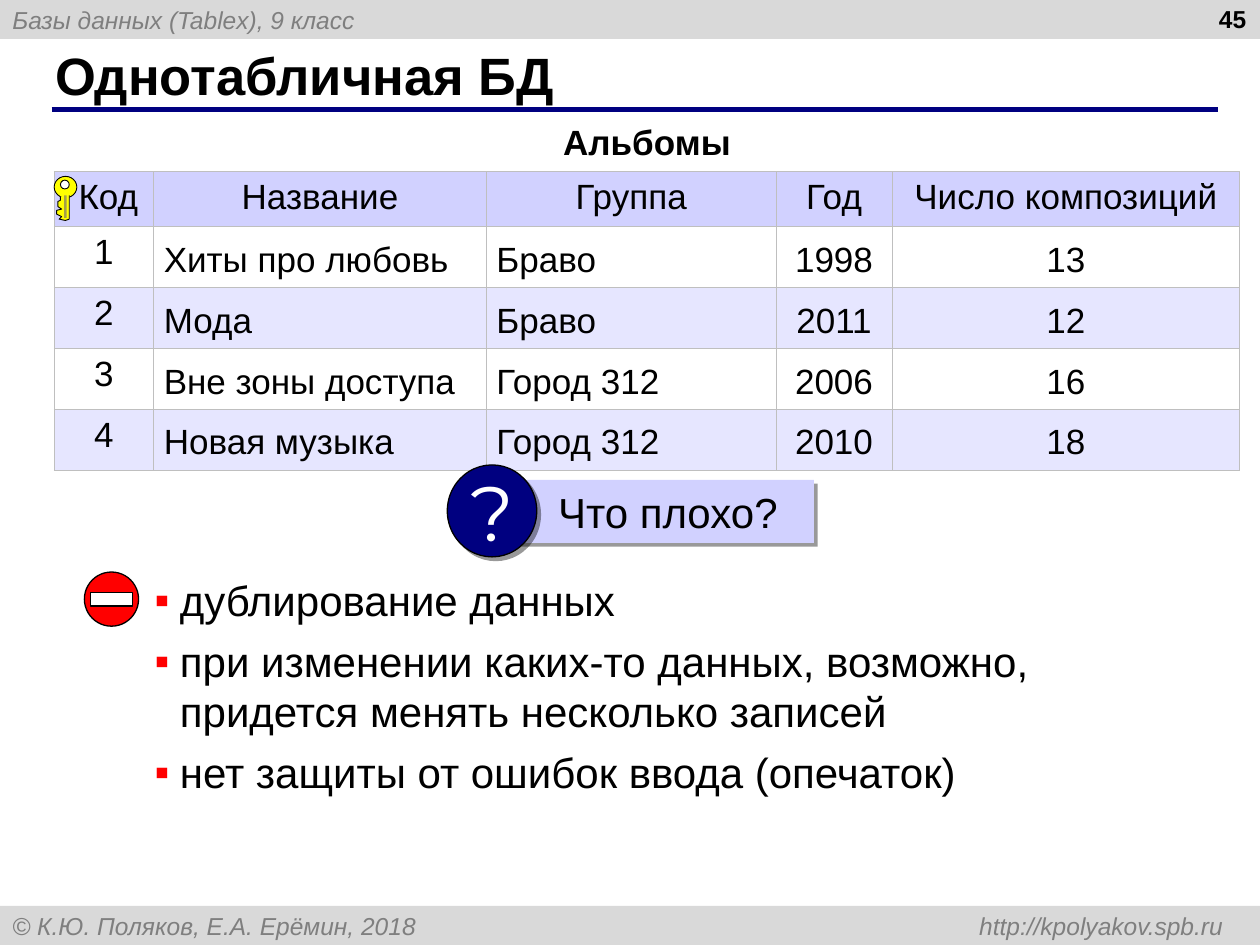
"""Builds the slide about the drawbacks of a single-table database."""
from typing import NamedTuple, Optional

from lxml.etree import SubElement
from pptx import Presentation
from pptx.dml.color import RGBColor
from pptx.enum.shapes import MSO_CONNECTOR, MSO_SHAPE
from pptx.enum.text import MSO_ANCHOR, PP_ALIGN
from pptx.oxml import parse_xml
from pptx.oxml.ns import nsdecls, qn
from pptx.util import Inches, Pt

BLACK = RGBColor(0x00, 0x00, 0x00)
WHITE = RGBColor(0xFF, 0xFF, 0xFF)
GRAY = RGBColor(0x7F, 0x7F, 0x7F)
BAR_GRAY = RGBColor(0xD9, 0xD9, 0xD9)
BORDER_GRAY = RGBColor(0xBF, 0xBF, 0xBF)
NAVY = RGBColor(0x00, 0x00, 0x80)
LAVENDER = RGBColor(0xD1, 0xD1, 0xFF)
PALE_LAVENDER = RGBColor(0xE6, 0xE6, 0xFF)
RED = RGBColor(0xFF, 0x00, 0x00)
YELLOW = RGBColor(0xFF, 0xFF, 0x00)
OLIVE = RGBColor(0xA5, 0xA1, 0x49)

BAR_TEXT = {"name": "Arial", "size": Pt(14), "italic": True}
NUMBER_TEXT = {"name": "Arial", "size": Pt(14), "bold": True}
TITLE_TEXT = {"name": "Arial", "size": Pt(30), "bold": True}
CELL_TEXT = {"name": "Arial", "size": Pt(20)}
CAPTION_TEXT = {**CELL_TEXT, "bold": True}
BODY_TEXT = {"name": "Arial", "size": Pt(24)}
MARK_TEXT = {"name": "Montserrat", "size": Pt(44)}

COLUMN_WIDTHS = (0.79, 2.64, 2.3, 0.92, 2.76)
ROW_HEIGHT = 0.43
ALBUM_ROWS = (
    ("Альбомы", "", "", "", ""),
    ("Код", "Название", "Группа", "Год", "Число композиций"),
    ("1", "Хиты про любовь", "Браво", "1998", "13"),
    ("2", "Мода", "Браво", "2011", "12"),
    ("3", "Вне зоны доступа", "Город 312", "2006", "16"),
    ("4", "Новая музыка", "Город 312", "2010", "18"),
)
DRAWBACKS = (
    "дублирование данных",
    "при изменении каких-то данных, возможно, придется менять несколько записей",
    "нет защиты от ошибок ввода (опечаток)",
)
KEY_BLADE = ((0.55, 1.55), (0.55, 1.74), (0.52, 1.75), (0.47, 1.74), (0.49, 1.72), (0.45, 1.7),
             (0.45, 1.67), (0.49, 1.66), (0.46, 1.64), (0.46, 1.6), (0.48, 1.59), (0.48, 1.56))


class Figure(NamedTuple):
    """A preset shape with its place in inches and its look."""
    kind: MSO_SHAPE
    place: tuple
    fill: RGBColor
    line_width: Optional[float] = None
    shadow: bool = False


HEADER_BAR = Figure(MSO_SHAPE.RECTANGLE, (0, 0, 10, 0.31), BAR_GRAY)
FOOTER_BAR = Figure(MSO_SHAPE.RECTANGLE, (0, 7.19, 10, 0.31), BAR_GRAY)
STOP_SIGN = (
    Figure(MSO_SHAPE.OVAL, (0.67, 4.54, 0.43, 0.43), RED, 0.75),
    Figure(MSO_SHAPE.RECTANGLE, (0.72, 4.7, 0.33, 0.11), WHITE, 0.75),
)
KEY_HEAD = (
    Figure(MSO_SHAPE.OVAL, (0.43, 1.4, 0.18, 0.17), YELLOW, 0.5),
    Figure(MSO_SHAPE.OVAL, (0.48, 1.43, 0.07, 0.07), WHITE, 0.5),
)
KEY_GROOVE = Figure(MSO_SHAPE.RECTANGLE, (0.51, 1.55, 0.02, 0.18), OLIVE)
QUESTION_BOX = Figure(MSO_SHAPE.RECTANGLE, (4.06, 3.81, 2.4, 0.5), LAVENDER, shadow=True)
QUESTION_MARK = Figure(MSO_SHAPE.OVAL, (3.55, 3.69, 0.71, 0.73), NAVY, 0.75, True)


def inches(place: tuple) -> list:
    """Turn numbers into lengths."""
    return [Inches(value) for value in place]


def write(para, text: str, style: dict, color: RGBColor = BLACK, align=PP_ALIGN.LEFT) -> None:
    """Put one formatted span into a paragraph."""
    para.alignment = align
    span = para.add_run()
    span.text = text
    for name, value in style.items():
        setattr(span.font, name, value)
    span.font.color.rgb = color


def paint(shape, fill: RGBColor, line_width: Optional[float]) -> None:
    """Set the fill and outline of a shape and drop its theme shadow."""
    shape.shadow.inherit = False
    shape.fill.solid()
    shape.fill.fore_color.rgb = fill
    if line_width is None:
        shape.line.fill.background()
    else:
        shape.line.color.rgb = BLACK
        shape.line.width = Pt(line_width)


def draw_figure(page, figure: Figure):
    """Draw a preset shape."""
    shape = page.shapes.add_shape(figure.kind, *inches(figure.place))
    paint(shape, figure.fill, figure.line_width)
    if figure.shadow:
        effects = shape._element.spPr.find(qn("a:effectLst"))
        effects.append(parse_xml(
            f'<a:outerShdw {nsdecls("a")} dist="38100" dir="2700000" algn="tl">'
            '<a:srgbClr val="000000"><a:alpha val="40000"/></a:srgbClr></a:outerShdw>'))
    return shape


def draw_bar(page, figure: Figure, text: str) -> None:
    """Draw a gray bar whose text may continue at a right tab."""
    frame = draw_figure(page, figure).text_frame
    frame.vertical_anchor = MSO_ANCHOR.MIDDLE
    para = frame.paragraphs[0]
    if "\t" in text:
        tabs = SubElement(para._p.get_or_add_pPr(), qn("a:tabLst"))
        SubElement(tabs, qn("a:tab"), pos=str(Inches(9.61)), algn="r")
    write(para, text, BAR_TEXT, GRAY)


def add_frame(page, place: tuple):
    """Add a wrapping text box and return its text frame."""
    frame = page.shapes.add_textbox(*inches(place)).text_frame
    frame.word_wrap = True
    return frame


def set_borders(cell, sides: str) -> None:
    """Give a cell thin gray borders on the named sides."""
    properties = cell._tc.get_or_add_tcPr()
    for index, side in enumerate(sides):
        properties.insert(index, parse_xml(
            f'<a:ln{side} {nsdecls("a")} w="{Pt(0.45)}"><a:solidFill>'
            f'<a:srgbClr val="{BORDER_GRAY}"/></a:solidFill></a:ln{side}>'))


def draw_album_table(page) -> None:
    """Draw the table of albums under its merged caption."""
    place = (0.43, 0.93, sum(COLUMN_WIDTHS), ROW_HEIGHT * len(ALBUM_ROWS))
    table = page.shapes.add_table(len(ALBUM_ROWS), len(COLUMN_WIDTHS), *inches(place)).table
    table.first_row = table.horz_banding = False
    for column, width in zip(table.columns, COLUMN_WIDTHS):
        column.width = Inches(width)
    table.cell(0, 0).merge(table.cell(0, len(COLUMN_WIDTHS) - 1))
    row_fills = {1: LAVENDER, 3: PALE_LAVENDER, 5: PALE_LAVENDER}
    for row, texts in enumerate(ALBUM_ROWS):
        for column, text in enumerate(texts):
            cell = table.cell(row, column)
            if row in row_fills:
                cell.fill.solid()
                cell.fill.fore_color.rgb = row_fills[row]
            else:
                cell.fill.background()
            set_borders(cell, "LRTB" if row else "B")
            para = cell.text_frame.paragraphs[0]
            is_data = row > 1 and column > 0
            cell.margin_left = cell.margin_right = Inches(0.08 if is_data else 0.1)
            if is_data:
                cell.vertical_anchor = MSO_ANCHOR.MIDDLE
                para.line_spacing = 1.15
            if text:
                align = PP_ALIGN.LEFT if is_data and column < 3 else PP_ALIGN.CENTER
                write(para, text, CELL_TEXT if row else CAPTION_TEXT, align=align)
    table.cell(1, 0).margin_left = Inches(0.17)


def draw_drawbacks(page) -> None:
    """Write the bulleted list."""
    frame = add_frame(page, (1.13, 4.51, 8.54, 1.72))
    for index, text in enumerate(DRAWBACKS):
        para = frame.add_paragraph() if index else frame.paragraphs[0]
        properties = para._p.get_or_add_pPr()
        properties.set("marL", str(Inches(0.2)))
        properties.set("indent", str(Inches(-0.2)))
        SubElement(SubElement(properties, qn("a:buClr")), qn("a:srgbClr"), val=str(RED))
        SubElement(properties, qn("a:buFont"), typeface="Arial")
        SubElement(properties, qn("a:buChar"), char="▪")
        if index:
            para.space_before = Pt(6)
        write(para, text, BODY_TEXT)


def draw_key(page) -> None:
    """Draw the primary key sign."""
    for figure in KEY_HEAD:
        draw_figure(page, figure)
    start, *corners = [inches(point) for point in KEY_BLADE]
    builder = page.shapes.build_freeform(*start)
    builder.add_line_segments(corners, close=False)
    paint(builder.convert_to_shape(), YELLOW, 0.5)
    draw_figure(page, KEY_GROOVE)


def draw_question(page) -> None:
    """Draw the question box with its round mark."""
    frame = draw_figure(page, QUESTION_BOX).text_frame
    frame.margin_left = Inches(0.37)
    frame.vertical_anchor = MSO_ANCHOR.MIDDLE
    write(frame.paragraphs[0], "Что плохо?", BODY_TEXT)
    frame = draw_figure(page, QUESTION_MARK).text_frame
    frame.word_wrap = False
    frame.vertical_anchor = MSO_ANCHOR.MIDDLE
    write(frame.paragraphs[0], "?", MARK_TEXT, WHITE, PP_ALIGN.CENTER)


def draw_title(page) -> None:
    """Place the title and the rule below it."""
    rule = page.shapes.add_connector(MSO_CONNECTOR.STRAIGHT, *inches((0.41, 0.87, 9.67, 0.87)))
    rule.line.color.rgb = NAVY
    rule.line.width = Pt(3)
    SubElement(rule._element.spPr, qn("a:effectLst"))
    title = page.shapes.title
    title.left, title.top, title.width, title.height = inches((0.34, 0.33, 9.16, 0.52))
    title.text_frame.vertical_anchor = MSO_ANCHOR.MIDDLE
    write(title.text_frame.paragraphs[0], "Однотабличная БД", TITLE_TEXT)


def main() -> None:
    """Build and save the deck."""
    deck = Presentation()
    deck.slide_width, deck.slide_height = Inches(10), Inches(7.5)
    page = deck.slides.add_slide(deck.slide_layouts[5])
    draw_bar(page, HEADER_BAR, "Базы данных (Tablex), 9 класс")
    draw_bar(page, FOOTER_BAR, "© К.Ю. Поляков, Е.А. Ерёмин, 2018\thttp://kpolyakov.spb.ru")
    draw_title(page)
    number = add_frame(page, (7.66, -0.02, 2.33, 0.52))
    write(number.paragraphs[0], "45", NUMBER_TEXT, align=PP_ALIGN.RIGHT)
    draw_album_table(page)
    draw_drawbacks(page)
    for figure in STOP_SIGN:
        draw_figure(page, figure)
    draw_key(page)
    draw_question(page)
    deck.save("out.pptx")


if __name__ == "__main__":
    main()
